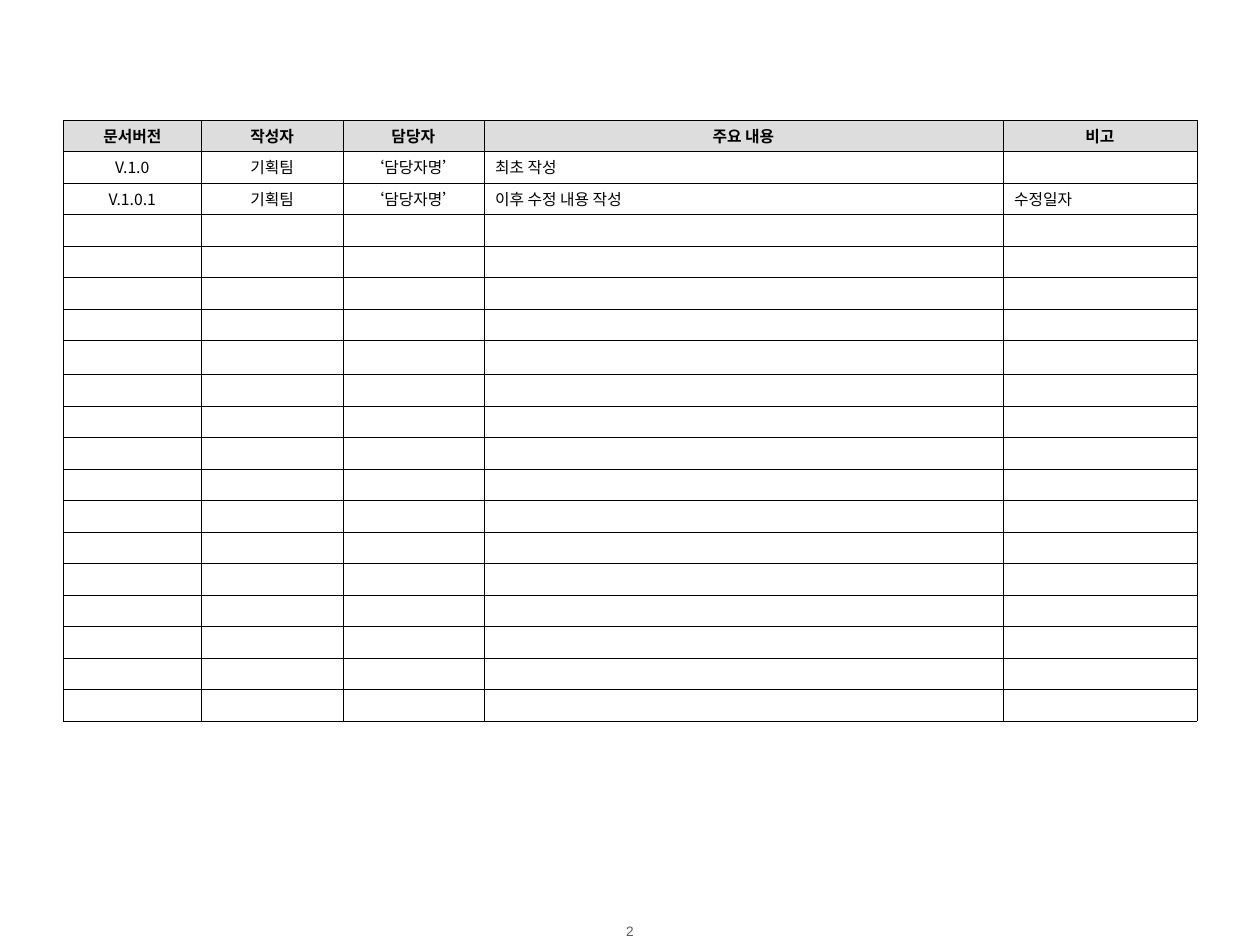
import dataclasses
import pptx
import pptx.util
import pptx.dml.color
import pptx.enum.text
import pptx.oxml
import pptx.oxml.ns
import lxml.etree

Inches = pptx.util.Inches
Pt = pptx.util.Pt
Align = pptx.enum.text.PP_ALIGN
Anchor = pptx.enum.text.MSO_ANCHOR
qn = pptx.oxml.ns.qn


@dataclasses.dataclass(frozen=True)
class Theme:
    font: str = "Noto Sans CJK KR"
    plain: str = "Arial"
    ink: str = "000000"
    gray: str = "595959"
    head: str = "DDDDDD"
    body: float = 9
    page: float = 7.8
    rule: float = 0.25


THEME = Theme()
WIDTHS = [1.1, 1.12, 1.12, 4.12, 1.54]
HEIGHTS = [0.25] * 7 + [0.27] + [0.25] * 11
ROWS = [
    ["문서버전", "작성자", "담당자", "주요 내용", "비고"],
    ["V.1.0", "기획팀", "‘담당자명’", "최초 작성", ""],
    ["V.1.0.1", "기획팀", "‘담당자명’", "이후 수정 내용 작성", "수정일자"],
]


def color(code):
    return pptx.dml.color.RGBColor.from_string(code)


def write(frame, text, size=THEME.body, font=THEME.font, ink=THEME.ink,
          bold=False, align=Align.LEFT, before=0):
    para = frame.paragraphs[0]
    para.alignment = align
    para.space_before = Pt(before)
    run = para.add_run()
    run.text = text
    run.font.size = Pt(size)
    run.font.name = font
    run.font.bold = bold
    run.font.color.rgb = color(ink)
    # East Asian glyphs use the same face
    east = lxml.etree.SubElement(run.font._element, qn("a:ea"))
    east.set("typeface", font)


def border(cell):
    props = cell._tc.get_or_add_tcPr()
    for spot, side in enumerate("LRTB"):
        line = pptx.oxml.parse_xml(
            f'<a:ln{side} {pptx.oxml.ns.nsdecls("a")} w="{Pt(THEME.rule)}">'
            f'<a:solidFill><a:srgbClr val="{THEME.ink}"/></a:solidFill>'
            f'</a:ln{side}>')
        props.insert(spot, line)


def blank(cell):
    # An empty cell keeps the body size so that its row stays low
    para = cell.text_frame.paragraphs[0]._p
    end = lxml.etree.SubElement(para, qn("a:endParaRPr"))
    end.set("sz", str(int(THEME.body * 100)))


def style(cell, text, head, align):
    cell.vertical_anchor = Anchor.MIDDLE
    cell.margin_left = cell.margin_right = Inches(0.09)
    cell.margin_top = cell.margin_bottom = Inches(0.02)
    if head:
        cell.fill.solid()
        cell.fill.fore_color.rgb = color(THEME.head)
    else:
        cell.fill.background()
    border(cell)
    if text:
        write(cell.text_frame, text, bold=head, align=align,
              before=THEME.body * 0.2)
    else:
        blank(cell)


def grid(slide, left, top):
    frame = slide.shapes.add_table(
        len(HEIGHTS), len(WIDTHS), Inches(left), Inches(top),
        Inches(sum(WIDTHS)), Inches(sum(HEIGHTS)))
    table = frame.table
    table.horz_banding = False
    for col, width in zip(table.columns, WIDTHS):
        col.width = Inches(width)
    for y, height in enumerate(HEIGHTS):
        table.rows[y].height = Inches(height)
        texts = ROWS[y] if y < len(ROWS) else [""] * len(WIDTHS)
        for x, text in enumerate(texts):
            head = y == 0
            align = Align.CENTER if head or x < 3 else Align.LEFT
            style(table.cell(y, x), text, head, align)


def label(slide, text, left, top, width, height, **form):
    box = slide.shapes.add_textbox(
        Inches(left), Inches(top), Inches(width), Inches(height))
    frame = box.text_frame
    frame.word_wrap = True
    frame.vertical_anchor = Anchor.MIDDLE
    frame.margin_left = frame.margin_right = 0
    frame.margin_top = frame.margin_bottom = 0
    write(frame, text, **form)


def main():
    deck = pptx.Presentation()
    deck.slide_width = Inches(10)
    deck.slide_height = Inches(7.5)
    slide = deck.slides.add_slide(deck.slide_layouts[6])

    # Revision history
    grid(slide, 0.5, 0.95)

    # Page number
    label(slide, "2", 4.57, 7.32, 0.86, 0.14, size=THEME.page,
          font=THEME.plain, ink=THEME.gray, align=Align.CENTER)

    deck.save("out.pptx")


main()
